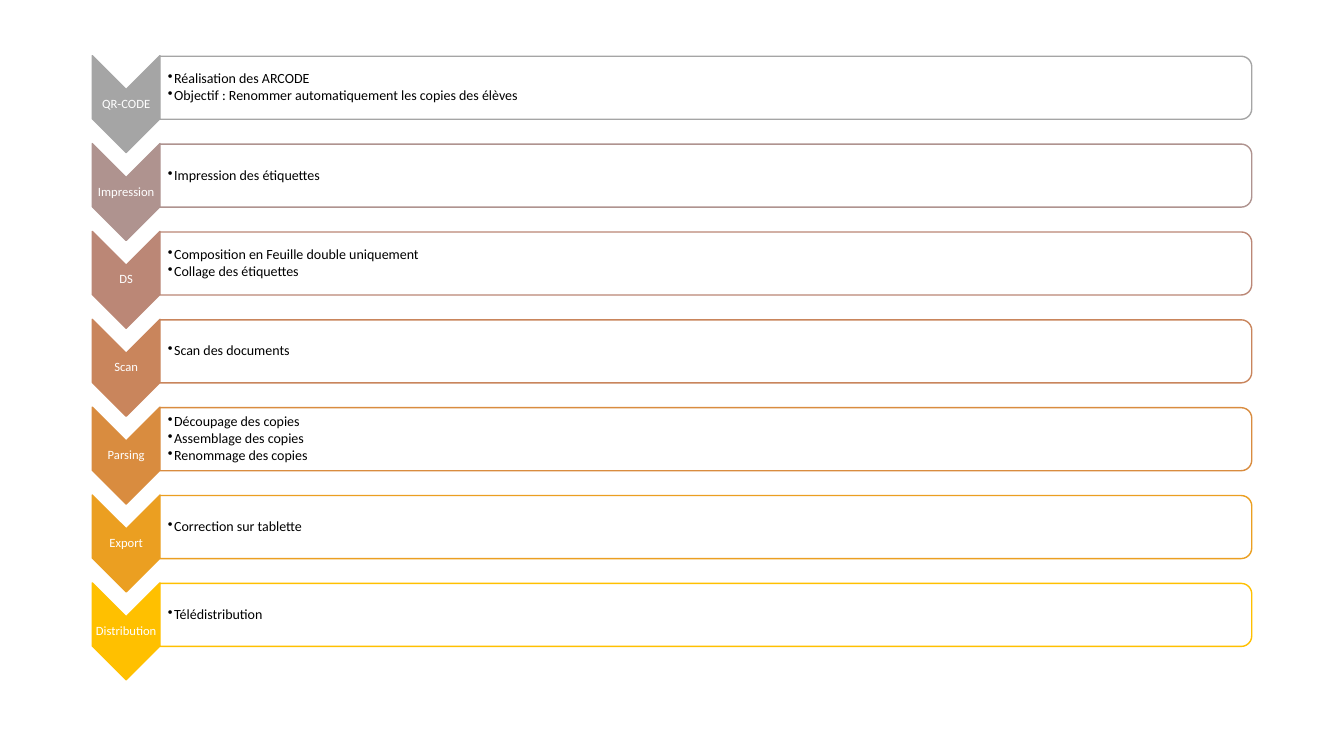
from lxml import etree
from pptx import Presentation
from pptx.dml.color import RGBColor
from pptx.enum import shapes, text
from pptx.oxml import ns
from pptx.util import Pt

FONT = "Calibri"
WHITE = RGBColor(0xFF, 0xFF, 0xFF)
BLACK = RGBColor(0, 0, 0)

STEPS = [
    ("QR-CODE", RGBColor(0xA5, 0xA5, 0xA5),
     ["Réalisation des ARCODE",
      "Objectif : Renommer automatiquement les copies des élèves"]),
    ("Impression", RGBColor(0xAF, 0x93, 0x8F), ["Impression des étiquettes"]),
    ("DS", RGBColor(0xBB, 0x87, 0x76),
     ["Composition en Feuille double uniquement", "Collage des étiquettes"]),
    ("Scan", RGBColor(0xC9, 0x85, 0x5C), ["Scan des documents"]),
    ("Parsing", RGBColor(0xD9, 0x8C, 0x3F),
     ["Découpage des copies", "Assemblage des copies", "Renommage des copies"]),
    ("Export", RGBColor(0xEB, 0x9F, 0x21), ["Correction sur tablette"]),
    ("Distribution", RGBColor(0xFF, 0xC0, 0x00), ["Télédistribution"]),
]

LEFT, TOP, WIDTH = 65.9, 39.8, 828.2
PITCH = 62.76
CHEVRON_W, CHEVRON_H = 48.4, 69.2
PANEL_H = 45


def add_turned_shape(slide, kind, left, top, width, height, fill, line):
    """Add a shape turned by 90° that covers the given box on the slide."""
    shift = (width - height) / 2
    sp = slide.shapes.add_shape(kind, Pt(left + shift), Pt(top - shift),
                                Pt(height), Pt(width))
    sp.rotation = 90
    sp.shadow.inherit = False
    sp.fill.solid()
    sp.fill.fore_color.rgb = fill
    sp.line.color.rgb = line
    sp.line.width = Pt(1)
    return sp


def set_alpha(sp, percent):
    color = sp.fill._xPr.find(ns.qn("a:solidFill"))[0]
    etree.SubElement(color, ns.qn("a:alpha"), val=str(percent * 1000))


def add_bullet(p):
    p.level = 1
    pPr = p._p.get_or_add_pPr()
    pPr.set("marL", str(Pt(4.5)))
    pPr.set("indent", str(-Pt(4.5)))
    etree.SubElement(pPr, ns.qn("a:buChar"), char="•")


def add_text(slide, left, top, width, height, lines, size, color, space,
             inset=0.5, bulleted=False):
    sp = slide.shapes.add_textbox(Pt(left), Pt(top), Pt(width), Pt(height))
    tf = sp.text_frame
    tf.word_wrap = True
    tf.vertical_anchor = text.MSO_ANCHOR.MIDDLE
    tf.margin_left = Pt(inset)
    tf.margin_top = tf.margin_right = tf.margin_bottom = Pt(0.5)
    for i, line in enumerate(lines):
        p = tf.add_paragraph() if i else tf.paragraphs[0]
        p.alignment = text.PP_ALIGN.LEFT if bulleted else text.PP_ALIGN.CENTER
        p.line_spacing = 0.9
        p.space_after = Pt(space)
        if bulleted:
            add_bullet(p)
        r = p.add_run()
        r.text = line
        r.font.name = FONT
        r.font.size = Pt(size)
        r.font.color.rgb = color


def add_chevron(slide, left, top, label, color):
    add_turned_shape(slide, shapes.MSO_SHAPE.CHEVRON, left, top,
                     CHEVRON_W, CHEVRON_H, color, color)
    notch = CHEVRON_W / 2
    add_text(slide, left, top + notch, CHEVRON_W, CHEVRON_H - 2 * notch,
             [label], 9, WHITE, 3.15)


def add_panel(slide, left, top, width, lines, color):
    sp = add_turned_shape(slide, shapes.MSO_SHAPE.ROUND_2_SAME_RECTANGLE,
                          left, top, width, PANEL_H, WHITE, color)
    set_alpha(sp, 90)
    add_text(slide, left, top + 2.2, width - 2.2, PANEL_H - 4.4,
             lines, 10, BLACK, 1.5, inset=5.6, bulleted=True)


def add_process(slide, left, top, width):
    for i, (label, color, lines) in enumerate(STEPS):
        y = top + i * PITCH
        add_chevron(slide, left, y, label, color)
        add_panel(slide, left + CHEVRON_W, y + 0.4, width - CHEVRON_W, lines, color)


def main():
    prs = Presentation()
    prs.slide_width, prs.slide_height = Pt(960), Pt(540)
    slide = prs.slides.add_slide(prs.slide_layouts[6])
    add_process(slide, LEFT, TOP, WIDTH)
    prs.save("out.pptx")


if __name__ == "__main__":
    main()
